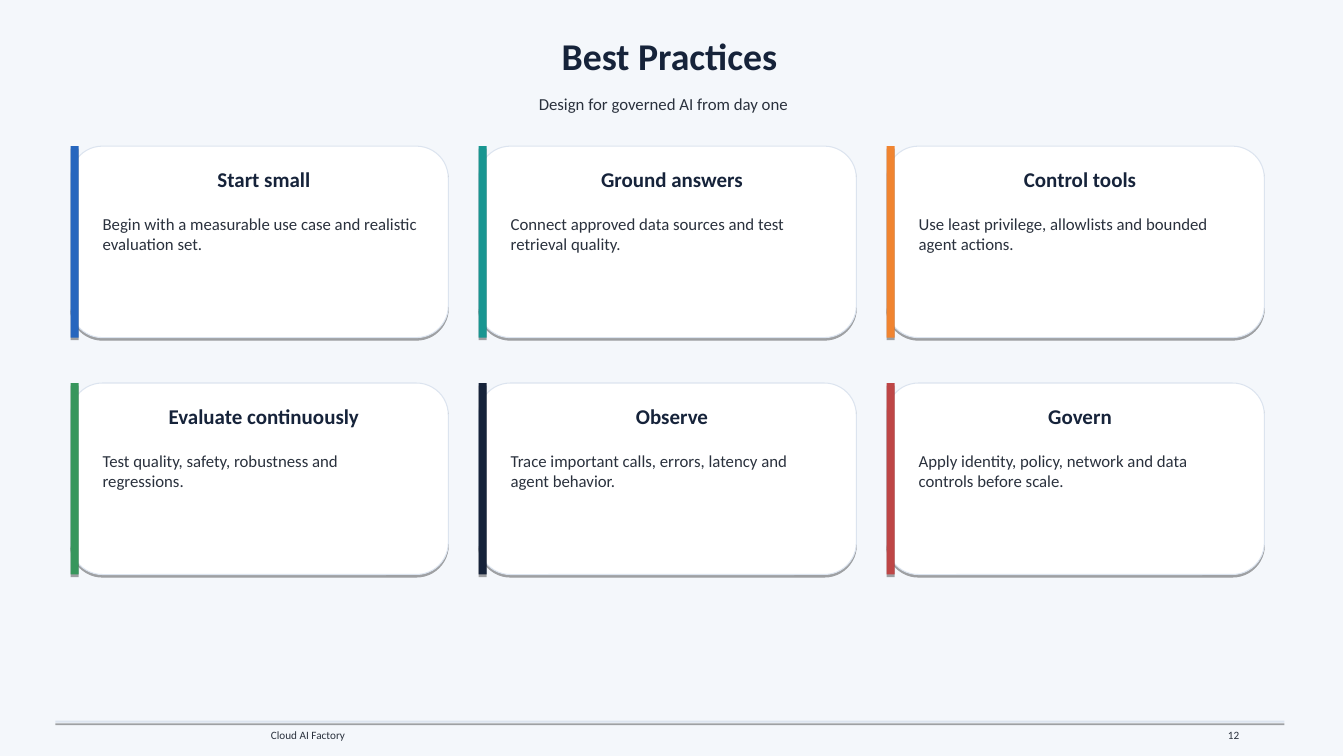
from lxml import etree
from pptx import Presentation
from pptx.dml.color import RGBColor
from pptx.enum.shapes import MSO_SHAPE as Preset
from pptx.enum.text import MSO_AUTO_SIZE as AutoSize, PP_ALIGN as Align
from pptx.oxml.ns import qn
from pptx.util import Inches, Pt

COLORS = {
    "background": "F4F7FB",
    "card": "FFFFFF",
    "border": "DCE4EF",
    "heading": "16233A",
    "body": "2A313D",
    "shadow": "000000",
    "blue": "2666BE",
    "teal": "189691",
    "orange": "F08430",
    "green": "37965C",
    "navy": "16233A",
    "red": "BE4646",
}
FONT = "Calibri"
SLIDE_WIDTH, SLIDE_HEIGHT = 13.33, 7.5
CARD_WIDTH, CARD_HEIGHT = 3.75, 1.9
GRID_LEFT, GRID_TOP = 0.7, 1.45
COLUMN_STEP, ROW_STEP = 4.05, 2.35
COLUMNS = 3

PRACTICES = [
    ("Start small", 1.12, "blue",
     "Begin with a measurable use case and realistic evaluation set."),
    ("Ground answers", 1.61, "teal",
     "Connect approved data sources and test retrieval quality."),
    ("Control tools", 1.32, "orange",
     "Use least privilege, allowlists and bounded agent actions."),
    ("Evaluate continuously", 2.1, "green",
     "Test quality, safety, robustness and regressions."),
    ("Observe", 0.92, "navy",
     "Trace important calls, errors, latency and agent behavior."),
    ("Govern", 0.83, "red",
     "Apply identity, policy, network and data controls before scale."),
]


def rgb(name):
    return RGBColor.from_string(COLORS[name])


def add_shadow(shape):
    shape.shadow.inherit = False
    effects = shape._element.spPr.find(qn("a:effectLst"))
    shadow = etree.SubElement(effects, qn("a:outerShdw"), blurRad="0",
                              dist=str(Pt(1.8)), dir="5400000", rotWithShape="0")
    color = etree.SubElement(shadow, qn("a:srgbClr"), val=COLORS["shadow"])
    etree.SubElement(color, qn("a:alpha"), val="35000")


def add_panel(slide, left, top, width, height, fill, preset=Preset.RECTANGLE, line=None):
    shape = slide.shapes.add_shape(
        preset, Inches(left), Inches(top), Inches(width), Inches(height))
    shape.fill.solid()
    shape.fill.fore_color.rgb = rgb(fill)
    if line:
        shape.line.color.rgb = rgb(line)
        shape.line.width = Pt(0.75)
    else:
        shape.line.fill.background()
    add_shadow(shape)
    return shape


def add_text(slide, left, top, width, height, text, size, color="body",
             bold=False, align=Align.LEFT, wrap=False):
    box = slide.shapes.add_textbox(
        Inches(left), Inches(top), Inches(width), Inches(height))
    frame = box.text_frame
    frame.word_wrap = wrap
    frame.auto_size = AutoSize.SHAPE_TO_FIT_TEXT
    paragraph = frame.paragraphs[0]
    paragraph.alignment = align
    run = paragraph.add_run()
    run.text = text
    run.font.name = FONT
    run.font.size = Pt(size)
    run.font.bold = bold
    run.font.color.rgb = rgb(color)


def add_header(slide, left, top):
    add_text(slide, left + 0.23, top, 2.35, 0.55, "Best Practices", 27,
             "heading", bold=True, align=Align.CENTER)
    add_text(slide, left, top + 0.6, 2.69, 0.3,
             "Design for governed AI from day one", 12, align=Align.CENTER)


def add_card(slide, left, top, title, title_width, accent, body):
    add_panel(slide, left, top, CARD_WIDTH, CARD_HEIGHT, "card",
              Preset.ROUNDED_RECTANGLE, "border")
    add_panel(slide, left, top, 0.08, CARD_HEIGHT, accent)
    title_left = left + 1.92 - title_width / 2
    add_text(slide, title_left, top + 0.15, title_width, 0.35, title, 15,
             "heading", bold=True, align=Align.CENTER)
    add_text(slide, left + 0.22, top + 0.62, 3.35, 0.5, body, 12, wrap=True)


def add_card_grid(slide, left, top):
    for index, practice in enumerate(PRACTICES):
        row, column = divmod(index, COLUMNS)
        add_card(slide, left + column * COLUMN_STEP, top + row * ROW_STEP, *practice)


def add_footer(slide, left, top, width):
    add_panel(slide, left, top, width, 0.02, "border")
    add_text(slide, left + 2.04, top + 0.03, 0.98, 0.23, "Cloud AI Factory", 8)
    add_text(slide, left + width - 0.66, top + 0.03, 0.31, 0.23, "12", 8,
             align=Align.RIGHT)


def main():
    presentation = Presentation()
    presentation.slide_width = Inches(13.34)
    presentation.slide_height = Inches(SLIDE_HEIGHT)
    slide = presentation.slides.add_slide(presentation.slide_layouts[6])
    add_panel(slide, 0, 0, SLIDE_WIDTH, SLIDE_HEIGHT, "background")
    add_header(slide, 5.24, 0.28)
    add_footer(slide, 0.55, 7.15, 12.2)
    add_card_grid(slide, GRID_LEFT, GRID_TOP)
    presentation.save("out.pptx")


if __name__ == "__main__":
    main()
